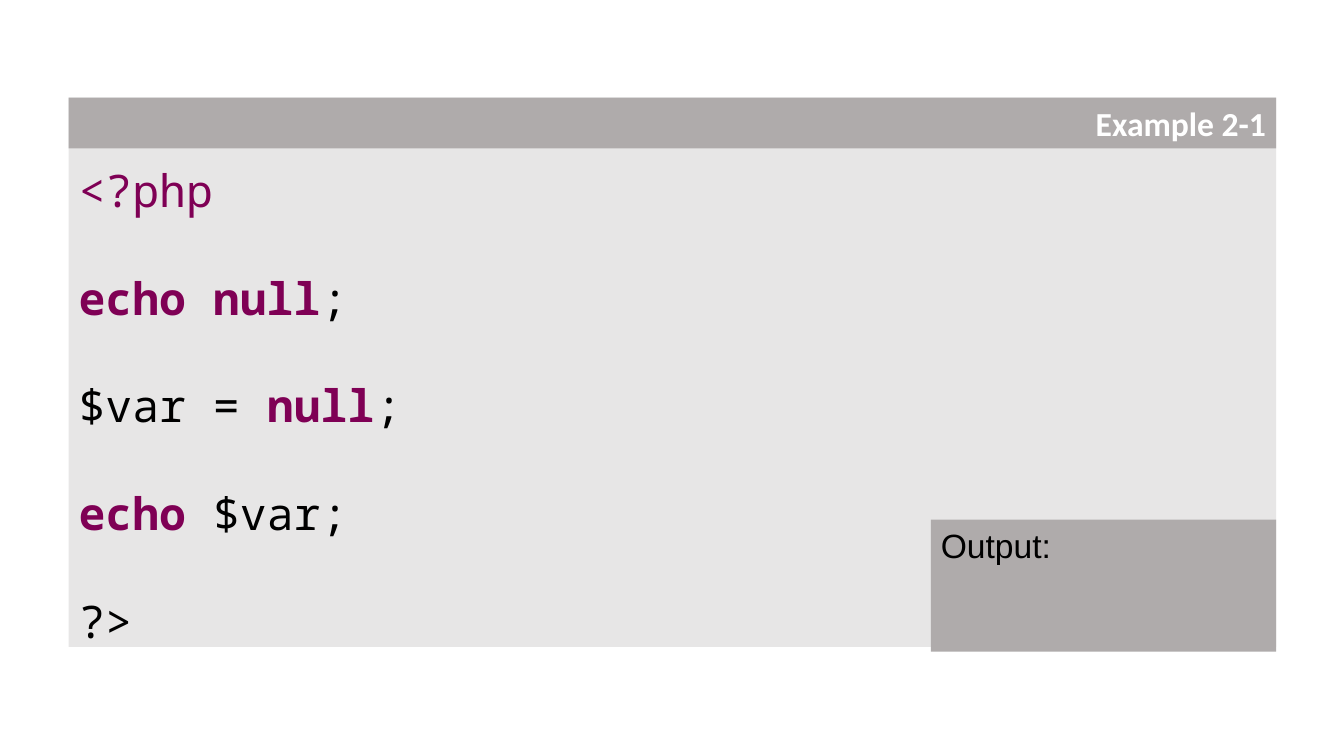
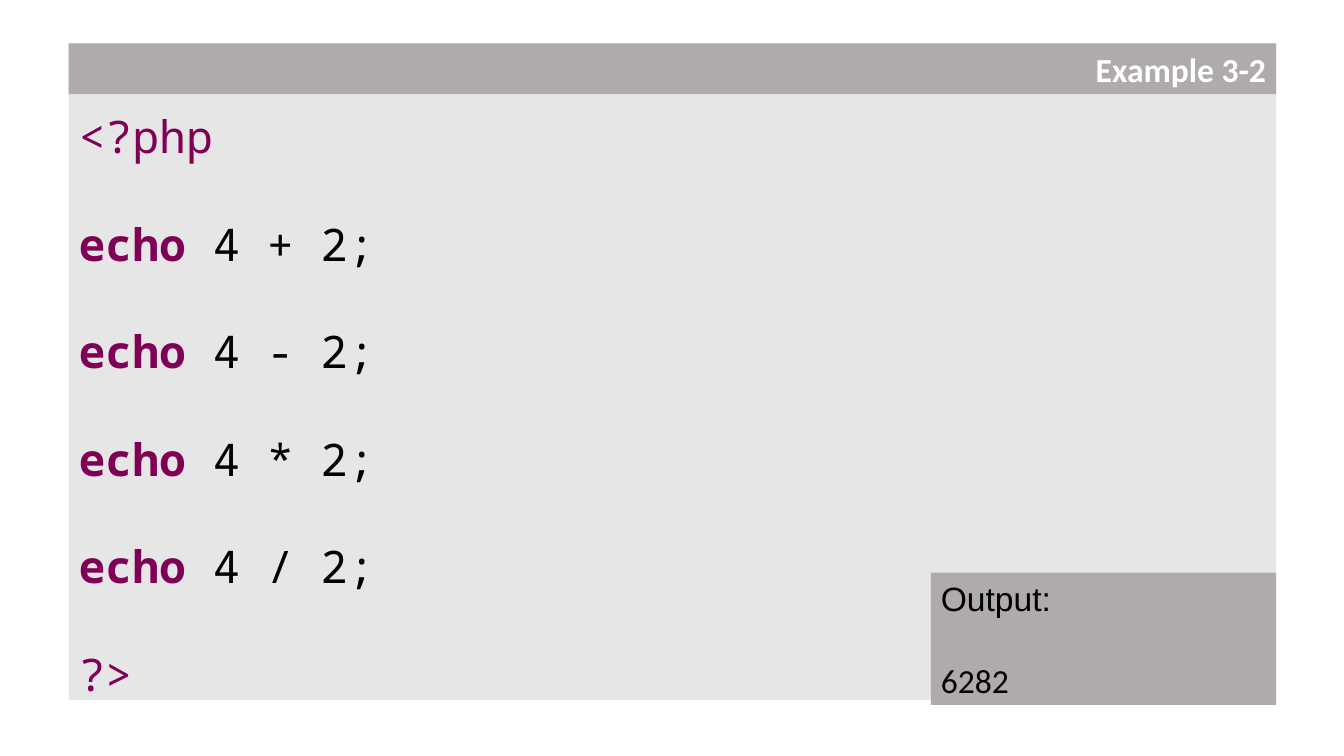
from dataclasses import dataclass

import pptx
import pptx.dml.color
import pptx.enum.shapes
import pptx.enum.text
import pptx.util
from pptx.util import Cm, Pt


def rgb(value):
    return pptx.dml.color.RGBColor.from_string(value)


@dataclass(frozen=True)
class Theme:
    panel: str = "E7E6E6"
    band: str = "AFABAB"
    ink: str = "000000"
    keyword: str = "7F0055"
    title: str = "FFFFFF"
    code_font: str = "Noto Sans Mono"
    label_font: str = "Arial"
    text_font: str = "Calibri"
    code_size: int = Pt(32)
    text_size: int = Pt(24)
    code_pitch: int = Pt(38.4)
    output_gap: int = Pt(30)


THEME = Theme()
LEFT, WIDTH = Cm(1.73), Cm(30.43)
BAND_HEIGHT = Cm(1.28)
CODE_INSET = Cm(1.65)
OUTPUT_WIDTH, OUTPUT_HEIGHT = Cm(8.7), Cm(3.33)
OUTPUT_OVERHANG = Cm(0.12)

# Code styles: colour and bold
PLAIN = (THEME.ink, False)
TAG = (THEME.keyword, False)
KEYWORD = (THEME.keyword, True)


def format_font(font, name, size, color, bold=False):
    font.name, font.size, font.bold = name, size, bold
    font.color.rgb = rgb(color)


def add_box(slide, left, top, width, height, fill):
    box = slide.shapes.add_shape(
        pptx.enum.shapes.MSO_SHAPE.RECTANGLE, left, top, width, height)
    box.shadow.inherit = False
    box.fill.solid()
    box.fill.fore_color.rgb = rgb(fill)
    box.line.fill.background()
    box.text_frame.word_wrap = True
    box.text_frame.vertical_anchor = pptx.enum.text.MSO_ANCHOR.TOP
    return box


def add_line(frame, index):
    """Return a left-aligned paragraph, reusing the first one of the frame."""
    line = frame.paragraphs[0] if index == 0 else frame.add_paragraph()
    line.alignment = pptx.enum.text.PP_ALIGN.LEFT
    return line


def add_code_panel(slide, top, code):
    """Draw code lines one empty row apart; the panel grows with them."""
    height = CODE_INSET + (2 * len(code) - 1) * THEME.code_pitch
    panel = add_box(slide, LEFT, top, WIDTH, height, THEME.panel)
    frame = panel.text_frame
    frame.margin_top, frame.margin_bottom = CODE_INSET, 0
    for index, tokens in enumerate(code):
        line = add_line(frame, index)
        line.line_spacing = THEME.code_pitch
        line.space_before = THEME.code_pitch if index else 0
        for text, (color, bold) in tokens:
            run = line.add_run()
            run.text = text
            format_font(run.font, THEME.code_font, THEME.code_size, color, bold)
    return panel


def format_title(slide, top, text):
    title = slide.shapes.title
    title.left, title.top = LEFT, top
    title.width, title.height = WIDTH, BAND_HEIGHT
    title.fill.solid()
    title.fill.fore_color.rgb = rgb(THEME.band)
    frame = title.text_frame
    frame.text = text
    frame.auto_size = pptx.enum.text.MSO_AUTO_SIZE.NONE
    frame.vertical_anchor = pptx.enum.text.MSO_ANCHOR.MIDDLE
    heading = frame.paragraphs[0]
    heading.alignment = pptx.enum.text.PP_ALIGN.RIGHT
    format_font(heading.runs[0].font, THEME.text_font, THEME.text_size,
                THEME.title, bold=True)
    return title


def add_output(slide, bottom, result):
    box = add_box(slide, LEFT + WIDTH - OUTPUT_WIDTH, bottom - OUTPUT_HEIGHT,
                  OUTPUT_WIDTH, OUTPUT_HEIGHT, THEME.band)
    lines = [("Output:", THEME.label_font)]
    if result:
        lines.append((result, THEME.text_font))
    for index, (text, font_name) in enumerate(lines):
        line = add_line(box.text_frame, index)
        line.text = text
        line.space_before = THEME.output_gap if index else 0
        format_font(line.runs[0].font, font_name, THEME.text_size, THEME.ink)


def add_example(deck, name, top, code, result=""):
    slide = deck.slides.add_slide(deck.slide_layouts.get_by_name("Title Only"))
    title = format_title(slide, top, name)
    panel = add_code_panel(slide, top, code)
    title.element.addprevious(panel.element)  # keep the band above the panel
    add_output(slide, panel.top + panel.height + OUTPUT_OVERHANG, result)


def main():
    deck = pptx.Presentation()
    deck.slide_width, deck.slide_height = Cm(33.87), Cm(19.05)
    add_example(deck, "Example 2-1", Cm(2.46), [
        [("<?php", TAG)],
        [("echo null", KEYWORD), (";", PLAIN)],
        [("$var = ", PLAIN), ("null", KEYWORD), (";", PLAIN)],
        [("echo", KEYWORD), (" $var;", PLAIN)],
        [("?>", PLAIN)],
    ])
    add_example(deck, "Example 3-2", Cm(1.09), [
        [("<?php", TAG)],
        *([("echo", KEYWORD), (f" 4 {sign} 2;", PLAIN)] for sign in "+-*/"),
        [("?>", TAG)],
    ], result="6282")
    deck.save("out.pptx")


if __name__ == "__main__":
    main()
